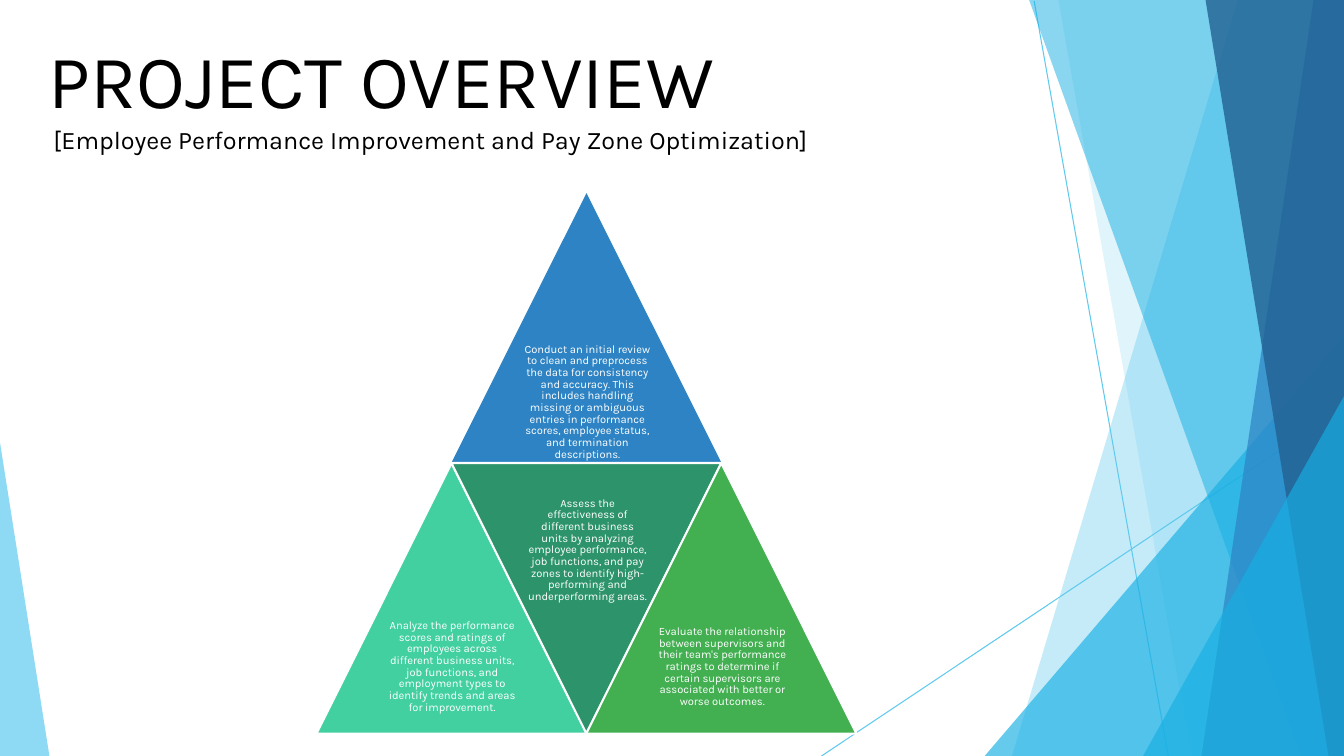
"""Build the project overview slide with its four-part pyramid."""
from dataclasses import dataclass

import lxml.etree
import pptx
import pptx.dml.color
import pptx.enum.shapes
import pptx.enum.text
import pptx.oxml.ns
import pptx.util

Pt = pptx.util.Pt
qn = pptx.oxml.ns.qn
Point = tuple[float, float]

WIDE, HIGH = 960, 540
FONT = "Karla"
WHITE, BLACK = "FFFFFF", "000000"
SKY, CYAN, BLUE, NAVY = "5FCAEE", "17AFE3", "2D83C3", "226192"


@dataclass
class Line:
    start: Point
    end: Point


@dataclass
class Panel:
    points: list[Point]
    color: str
    alpha: int = 100
    edge: str = ""


@dataclass
class Label:
    left: float
    top: float
    width: float
    height: float
    text: str


@dataclass
class Style:
    size: float
    color: str
    indent: float
    space: float


def paint(color: str) -> pptx.dml.color.RGBColor:
    """Turn a hex string into a colour."""
    return pptx.dml.color.RGBColor.from_string(color)


def draw_line(slide, line: Line) -> None:
    """Draw one thin accent line."""
    ends = [Pt(v) for v in (*line.start, *line.end)]
    shape = slide.shapes.add_connector(pptx.enum.shapes.MSO_CONNECTOR.STRAIGHT, *ends)
    shape.line.color.rgb = paint(SKY)
    shape.line.width = Pt(0.75)
    lxml.etree.SubElement(shape._element.spPr, qn("a:effectLst"))


def draw_panel(slide, panel: Panel) -> None:
    """Draw one filled polygon."""
    first, *rest = [(Pt(x), Pt(y)) for x, y in panel.points]
    maker = slide.shapes.build_freeform(*first, scale=1.0)
    maker.add_line_segments(rest, close=True)
    shape = maker.convert_to_shape()
    shape.shadow.inherit = False
    shape.fill.solid()
    shape.fill.fore_color.rgb = paint(panel.color)
    if panel.alpha < 100:
        tint = shape._element.spPr.find(f"{qn('a:solidFill')}/{qn('a:srgbClr')}")
        lxml.etree.SubElement(tint, qn("a:alpha"), val=str(panel.alpha * 1000))
    if panel.edge:
        shape.line.color.rgb = paint(panel.edge)
        shape.line.width = Pt(1.5)
    else:
        shape.line.fill.background()


def add_box(slide, label: Label, inset: float):
    """Add a wrapping text box and return its frame."""
    spot = [Pt(v) for v in (label.left, label.top, label.width, label.height)]
    frame = slide.shapes.add_textbox(*spot).text_frame
    frame.word_wrap = True
    frame.margin_left = frame.margin_right = frame.margin_bottom = 0
    frame.margin_top = Pt(inset)
    frame.text = label.text
    return frame


def set_font(para, size: float, color: str, track: int) -> None:
    """Format the runs of a paragraph."""
    for run in para.runs:
        run.font.name = FONT
        run.font.size = Pt(size)
        run.font.color.rgb = paint(color)
        run._r.get_or_add_rPr().set("spc", str(track))


def draw_title(slide, label: Label, styles: list[Style]) -> None:
    """Write the heading and the line below it."""
    frame = add_box(slide, label, 4.3)
    for para, style in zip(frame.paragraphs, styles):
        para.line_spacing = Pt(style.space)
        para._p.get_or_add_pPr().set("marL", str(Pt(style.indent)))
        set_font(para, style.size, style.color, 0)


def draw_label(slide, label: Label) -> None:
    """Write the text of one pyramid part."""
    para = add_box(slide, label, 2.2).paragraphs[0]
    para.alignment = pptx.enum.text.PP_ALIGN.CENTER
    para.line_spacing = 0.87
    set_font(para, 8, WHITE, -5)


def wedge(x: float, tip: float, base: float) -> list[Point]:
    """Give the corners of a triangle with its tip at x."""
    half = 96.5
    return [(x, tip), (x - half, base), (x + half, base)]


LINES = [Line((738.7, 0.7), (834.5, HIGH)), Line((WIDE, 290.9), (586.8, HIGH))]

RIGHT = [(WIDE, HIGH), (WIDE, 0)]
PANELS = [
    Panel([*RIGHT, (884.2, 0), (722.9, HIGH)], SKY, 36),
    Panel([*RIGHT, (756, 0), (851, HIGH)], SKY, 20),
    Panel([(WIDE, 239.8), (703.4, HIGH), (WIDE, HIGH)], CYAN, 66),
    Panel([*RIGHT, (735.1, 0), (929.5, HIGH)], CYAN, 50),
    Panel([*RIGHT, (938.2, 0), (858.2, HIGH)], BLUE, 70),
    Panel([*RIGHT, (861.1, 0), (949, HIGH)], NAVY, 80),
    Panel([(WIDE, 283), (816.5, HIGH), (WIDE, HIGH)], CYAN, 66),
    Panel([(0, 316.1), (0, HIGH), (35.3, HIGH)], SKY, 70),
]

MID, STEP = 418.9, 96.3
TOP, WAIST, FOOT = 138, 330.7, 524
PARTS = [
    Panel(wedge(MID, TOP, WAIST), BLUE),
    Panel(wedge(MID - STEP, WAIST, FOOT), "42D0A1", edge=WHITE),
    Panel(wedge(MID, FOOT, WAIST), "2D936B", edge=WHITE),
    Panel(wedge(MID + STEP, WAIST, FOOT), "42AF51", edge=WHITE),
]

LABELS = [
    Label(372.8, 243.4, 93.5, 86,
          "Conduct an initial review to clean and preprocess the data for consistency "
          "and accuracy. This includes handling missing or ambiguous entries in "
          "performance scores, employee status, and termination descriptions."),
    Label(276.5, 440.8, 93, 70,
          "Analyze the performance scores and ratings of employees across different "
          "business units, job functions, and employment types to identify trends and "
          "areas for improvement."),
    Label(376.2, 353.5, 87, 78,
          "Assess the effectiveness of different business units by analyzing employee "
          "performance, job functions, and pay zones to identify high-performing and "
          "underperforming areas."),
    Label(469.5, 445, 93, 62,
          "Evaluate the relationship between supervisors and their team's performance "
          "ratings to determine if certain supervisors are associated with better or "
          "worse outcomes."),
]

TITLE = Label(23.8, 19.4, 634, 91,
              "PROJECT OVERVIEW\n[Employee Performance Improvement and Pay Zone Optimization]")
STYLES = [Style(54, BLACK, 11, 64.8), Style(18, BLACK, 14.4, 21.6)]


def main() -> None:
    """Build and save the slide."""
    deck = pptx.Presentation()
    deck.slide_width, deck.slide_height = Pt(WIDE), Pt(HIGH)
    slide = deck.slides.add_slide(deck.slide_layouts[6])
    for line in LINES:
        draw_line(slide, line)
    for panel in PANELS:
        draw_panel(slide, panel)
    draw_title(slide, TITLE, STYLES)
    for part in PARTS:
        draw_panel(slide, part)
    for label in LABELS:
        draw_label(slide, label)
    deck.save("out.pptx")


if __name__ == "__main__":
    main()
